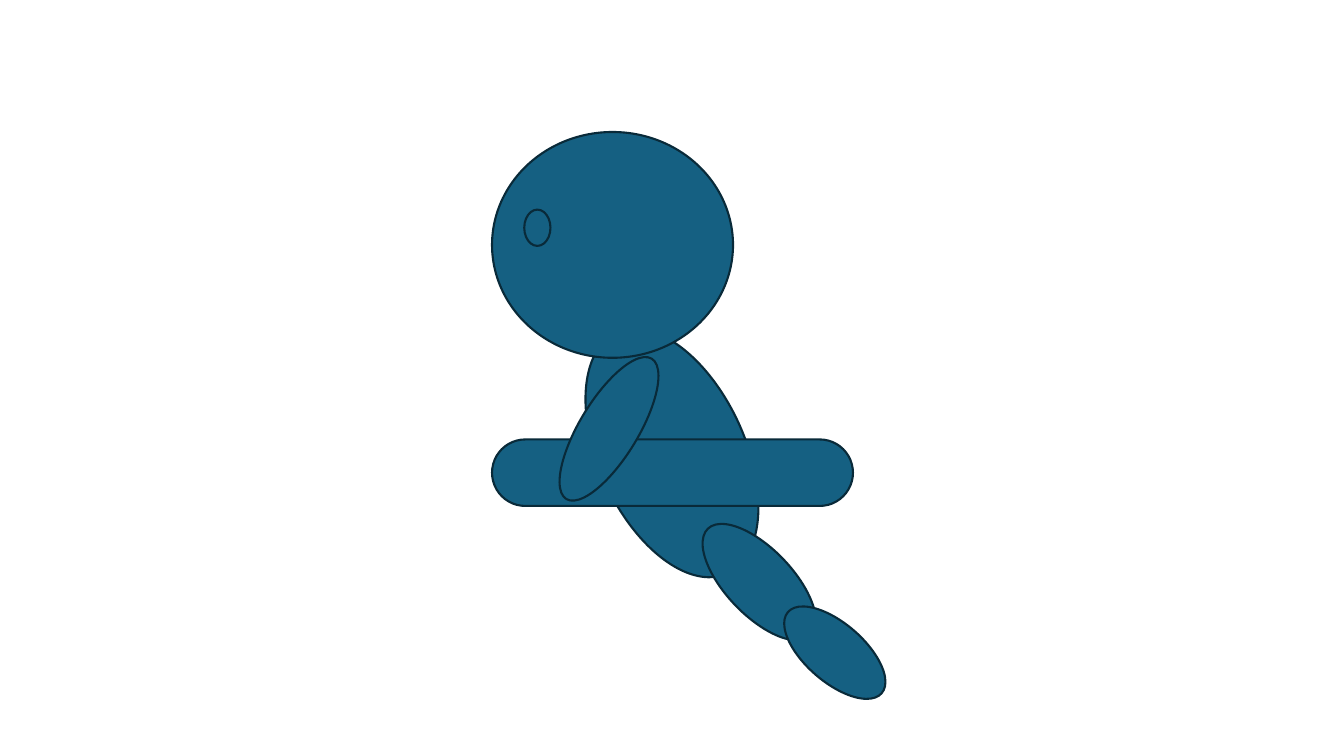
from pptx import Presentation
from pptx.dml.color import RGBColor
from pptx.enum import shapes
from pptx.util import Inches, Pt

COLORS = {"body": "156082", "outline": "092A39"}


def add_part(slide, kind, left, top, width, height, rotation=0):
    part = slide.shapes.add_shape(
        kind, Inches(left), Inches(top), Inches(width), Inches(height)
    )
    part.rotation = rotation
    part.shadow.inherit = False
    part.fill.solid()
    part.fill.fore_color.rgb = RGBColor.from_string(COLORS["body"])
    part.line.color.rgb = RGBColor.from_string(COLORS["outline"])
    part.line.width = Pt(1.5)
    return part


def add_oval(slide, left, top, width, height, rotation=0):
    return add_part(
        slide, shapes.MSO_SHAPE.OVAL, left, top, width, height, rotation
    )


def add_bar(slide, left, top, width, height):
    bar = add_part(
        slide, shapes.MSO_SHAPE.ROUNDED_RECTANGLE, left, top, width, height
    )
    bar.adjustments[0] = 0.5
    return bar


def add_figure(slide):
    torso = (5.94, 3.18, 1.45, 2.63, 335.3)
    float_ring = (4.88, 4.36, 3.58, 0.66)
    head = (4.88, 1.31, 2.39, 2.24)
    thigh = (7.2, 5.04, 0.66, 1.47, 136.2)
    shin = (7.99, 5.86, 0.58, 1.23, 310.9)
    arm = (5.75, 3.44, 0.58, 1.63, 31.3)
    eye = (5.2, 2.08, 0.26, 0.36)

    add_oval(slide, *torso)
    add_bar(slide, *float_ring)
    for limb in (head, thigh, shin, arm, eye):
        add_oval(slide, *limb)


def main():
    deck = Presentation()
    deck.slide_width = Inches(13.33)
    deck.slide_height = Inches(7.5)
    slide = deck.slides.add_slide(deck.slide_layouts[6])
    add_figure(slide)
    deck.save("out.pptx")


if __name__ == "__main__":
    main()
